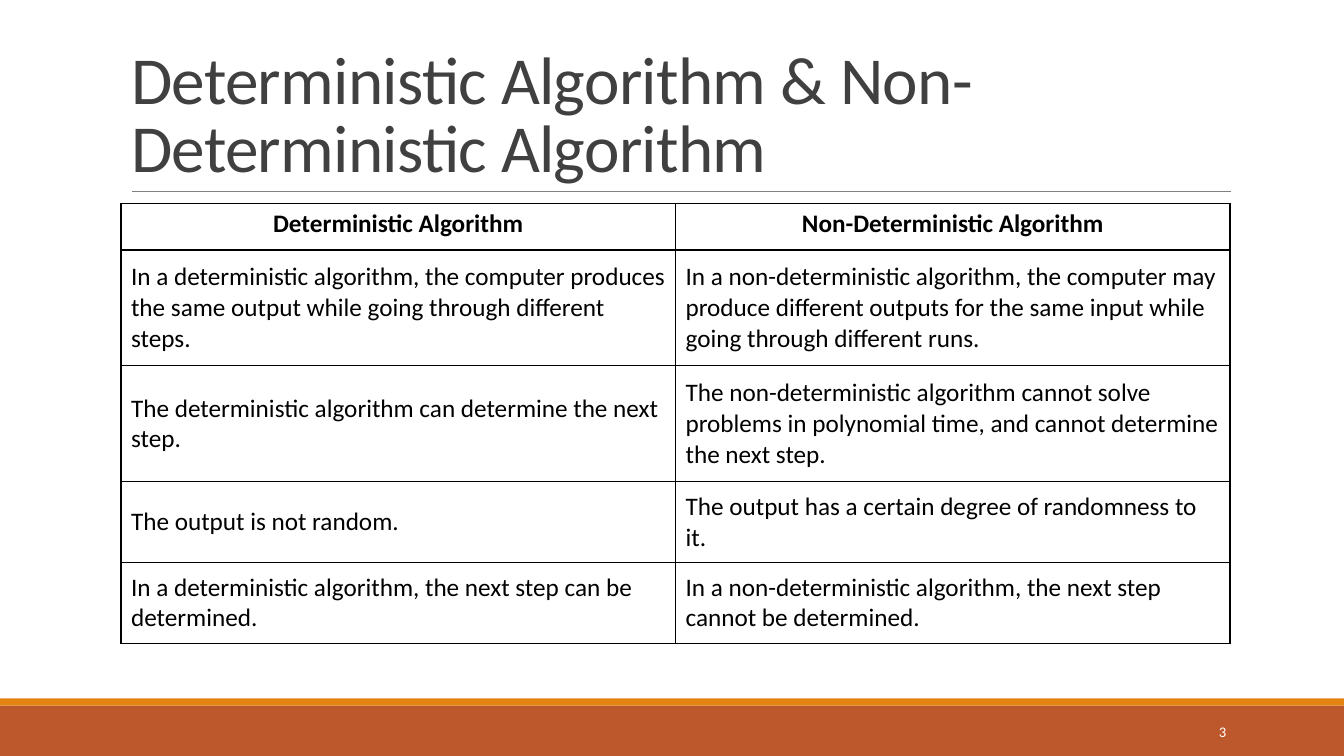
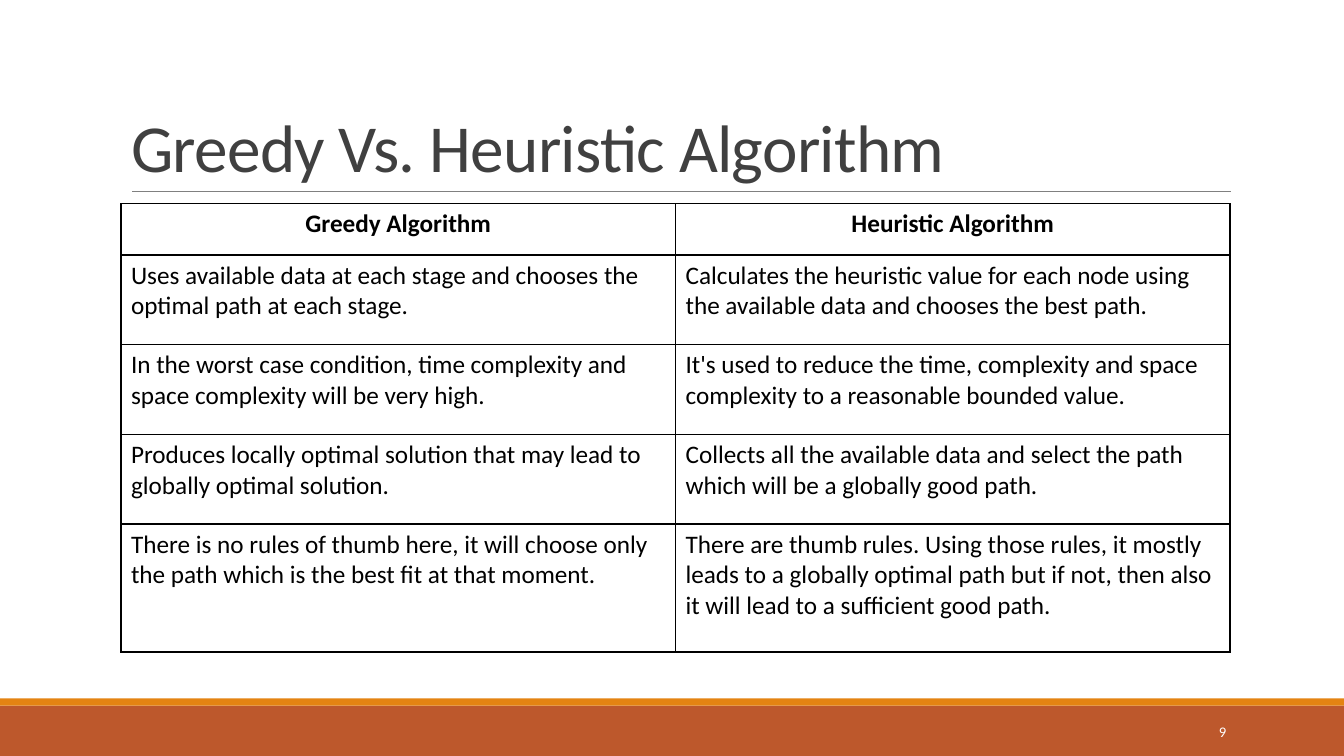
from lxml import etree
from pptx import Presentation
from pptx import util as u
from pptx.dml.color import RGBColor
from pptx.enum import shapes, text
from pptx.oxml import ns

WHITE = RGBColor(0xFF, 0xFF, 0xFF)
BLACK = RGBColor(0x00, 0x00, 0x00)
CHARCOAL = RGBColor(0x40, 0x40, 0x40)
GREY = RGBColor(0x80, 0x80, 0x80)
RUST = RGBColor(0xBD, 0x58, 0x2C)
ORANGE = RGBColor(0xE4, 0x83, 0x12)

FONT = "Calibri"
SLIDE_WIDTH, SLIDE_HEIGHT = 13.33, 7.5
LEFT, CONTENT_WIDTH = 1.2, 11
TABLE_TOP = 2.02
TITLE_ONLY_LAYOUT = 5


class Deck:
    """Holds the shared style and the current slide."""

    def __init__(self):
        self.presentation = Presentation()
        self.presentation.slide_width = u.Inches(SLIDE_WIDTH)
        self.presentation.slide_height = u.Inches(SLIDE_HEIGHT)
        self.slide = None

    def add_slide(self, title, number):
        layout = self.presentation.slide_layouts[TITLE_ONLY_LAYOUT]
        self.slide = self.presentation.slides.add_slide(layout)
        self.band(7, 0.5, RUST)
        self.band(6.93, 0.07, ORANGE)
        self.rule(1.31, 12.21, 1.9)
        self.title(title)
        self.page_number(number)

    def style(self, paragraph, size, color, bold=False):
        for run in paragraph.runs:
            run.font.name = FONT
            run.font.size = u.Pt(size)
            run.font.bold = bold
            run.font.color.rgb = color

    def band(self, top, height, color):
        band = self.slide.shapes.add_shape(
            shapes.MSO_SHAPE.RECTANGLE, 0, u.Inches(top),
            u.Inches(SLIDE_WIDTH), u.Inches(height))
        band.shadow.inherit = False
        band.fill.solid()
        band.fill.fore_color.rgb = color
        band.line.fill.background()

    def rule(self, start, end, top):
        rule = self.slide.shapes.add_connector(
            shapes.MSO_CONNECTOR.STRAIGHT, u.Inches(start), u.Inches(top),
            u.Inches(end), u.Inches(top))
        rule.line.color.rgb = GREY
        rule.line.width = u.Pt(0.5)
        etree.SubElement(rule._element.spPr, ns.qn("a:effectLst"))

    def title(self, wording):
        title = self.slide.shapes.title
        title.left, title.top = u.Inches(LEFT), u.Inches(0.31)
        title.width, title.height = u.Inches(CONTENT_WIDTH), u.Inches(1.59)
        frame = title.text_frame
        frame.text = wording
        frame.auto_size = text.MSO_AUTO_SIZE.NONE
        frame.vertical_anchor = text.MSO_ANCHOR.BOTTOM
        paragraph = frame.paragraphs[0]
        paragraph.alignment = text.PP_ALIGN.LEFT
        paragraph.line_spacing = 0.85
        self.style(paragraph, 48, CHARCOAL)
        # Slightly tightened letter spacing
        paragraph.runs[0]._r.get_or_add_rPr().set("spc", "-50")

    def page_number(self, number):
        box = self.slide.shapes.add_textbox(
            u.Inches(10.83), u.Inches(7.06), u.Inches(1.43), u.Inches(0.4))
        frame = box.text_frame
        frame.word_wrap = True
        frame.text = str(number)
        frame.vertical_anchor = text.MSO_ANCHOR.MIDDLE
        frame.paragraphs[0].alignment = text.PP_ALIGN.RIGHT
        self.style(frame.paragraphs[0], 10.5, WHITE)

    def cell_borders(self, cell):
        properties = cell._tc.get_or_add_tcPr()
        for side in ("a:lnL", "a:lnR", "a:lnT", "a:lnB"):
            line = etree.SubElement(properties, ns.qn(side), w=str(u.Pt(1)))
            fill = etree.SubElement(line, ns.qn("a:solidFill"))
            etree.SubElement(fill, ns.qn("a:srgbClr"), val=str(BLACK))

    def comparison(self, rows, heights, body_anchor):
        columns = len(rows[0])
        table = self.slide.shapes.add_table(
            len(rows), columns, u.Inches(LEFT), u.Inches(TABLE_TOP),
            u.Inches(CONTENT_WIDTH), u.Inches(sum(heights))).table
        table.first_row = table.horz_banding = False
        for column in table.columns:
            column.width = u.Inches(CONTENT_WIDTH / columns)
        for row_index, (wordings, height) in enumerate(zip(rows, heights)):
            table.rows[row_index].height = u.Inches(height)
            is_header = row_index == 0
            for column_index, wording in enumerate(wordings):
                cell = table.cell(row_index, column_index)
                self.cell_borders(cell)
                cell.fill.background()
                cell.text_frame.text = wording
                cell.vertical_anchor = (
                    text.MSO_ANCHOR.TOP if is_header else body_anchor)
                paragraph = cell.text_frame.paragraphs[0]
                paragraph.alignment = (
                    text.PP_ALIGN.CENTER if is_header else text.PP_ALIGN.LEFT)
                self.style(paragraph, 18, BLACK, bold=is_header)


DETERMINISM_ROWS = [
    ("Deterministic Algorithm", "Non-Deterministic Algorithm"),
    ("In a deterministic algorithm, the computer produces the same output "
     "while going through different steps.",
     "In a non-deterministic algorithm, the computer may produce different "
     "outputs for the same input while going through different runs."),
    ("The deterministic algorithm can determine the next step.",
     "The non-deterministic algorithm cannot solve problems in polynomial "
     "time, and cannot determine the next step."),
    ("The output is not random.",
     "The output has a certain degree of randomness to it."),
    ("In a deterministic algorithm, the next step can be determined.",
     "In a non-deterministic algorithm, the next step cannot be determined."),
]

GREEDY_ROWS = [
    ("Greedy Algorithm", "Heuristic Algorithm"),
    ("Uses available data at each stage and chooses the optimal path at each "
     "stage.",
     "Calculates the heuristic value for each node using the available data "
     "and chooses the best path."),
    ("In the worst case condition, time complexity and space complexity will "
     "be very high.",
     "It's used to reduce the time, complexity and space complexity to a "
     "reasonable bounded value."),
    ("Produces locally optimal solution that may lead to globally optimal "
     "solution.",
     "Collects all the available data and select the path which will be a "
     "globally good path."),
    ("There is no rules of thumb here, it will choose only the path which is "
     "the best fit at that moment.",
     "There are thumb rules. Using those rules, it mostly leads to a globally "
     "optimal path but if not, then also it will lead to a sufficient good "
     "path."),
]


def main():
    deck = Deck()

    # Deterministic and non-deterministic algorithms
    deck.add_slide("Deterministic Algorithm & Non-Deterministic Algorithm", 3)
    deck.comparison(DETERMINISM_ROWS, [0.46, 1.15, 1.15, 0.8, 0.8],
                    text.MSO_ANCHOR.MIDDLE)

    # Greedy and heuristic algorithms
    deck.add_slide("Greedy Vs. Heuristic Algorithm", 9)
    deck.comparison(GREEDY_ROWS, [0.51, 0.89, 0.89, 0.89, 1.27],
                    text.MSO_ANCHOR.TOP)

    deck.presentation.save("out.pptx")


if __name__ == "__main__":
    main()
